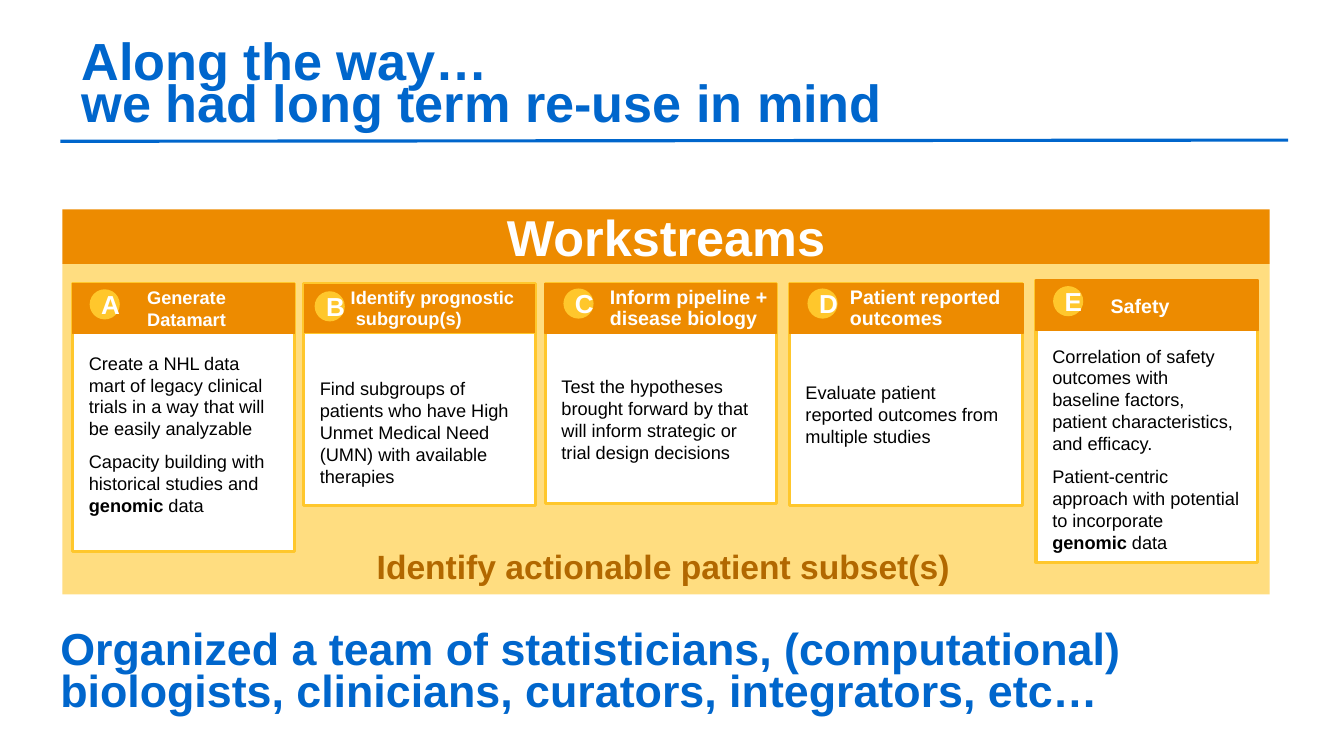
from dataclasses import dataclass

from lxml import etree
from pptx import Presentation
from pptx.dml.color import RGBColor
from pptx.enum import shapes, text
from pptx.oxml import ns
from pptx.util import Cm, Pt

COLORS = {
    "blue": "0066CC",
    "orange": "ED8B00",
    "yellow": "FFC72C",
    "cream": "FFDD80",
    "brown": "B26800",
    "white": "FFFFFF",
    "black": "000000",
}
INSETS = (0.18, 0.13, 0.18, 0.13)
HEADER_HEIGHT = 1.27
BADGE_SIZE = 0.76


@dataclass
class Card:
    letter: str
    heading: str
    box: tuple  # left, top, width, height in cm
    badge: tuple  # offset of the badge from the card's corner
    body_top: float  # offset of the body text from the card's top
    indent: float
    body: list  # paragraphs, each a list of spans; every second span is bold
    size: int = 14
    spacing: float = None
    hanging: float = 0
    header_line: str = "orange"


CARDS = [
    Card("A", "Generate Datamart", (1.83, 7.14, 5.59, 6.76), (0.43, 0.15), 1.6, 1.7,
         [["Create a NHL data mart of legacy clinical trials in a way that will "
           "be easily analyzable"],
          ["Capacity building with historical studies and ", "genomic", " data"]],
         size=13),
    Card("B", "Identify prognostic subgroup(s)", (7.65, 7.14, 5.84, 5.59), (0.28, 0.2),
         2.24, 1.14,
         [["Find subgroups of patients who have High Unmet Medical Need (UMN) "
           "with available therapies"]],
         size=13, spacing=14.7, hanging=0.13, header_line="yellow"),
    Card("C", "Inform pipeline + disease biology", (13.74, 7.14, 5.82, 5.56),
         (0.46, 0.13), 2.2, 1.45,
         [["Test the hypotheses brought forward by that will inform strategic or "
           "trial design decisions"]],
         spacing=14.7),
    Card("D", "Patient reported outcomes", (19.89, 7.14, 5.89, 5.59), (0.46, 0.13),
         2.34, 1.35,
         [["Evaluate patient reported outcomes from multiple studies"]],
         spacing=14.7),
    Card("E", "Safety", (26.11, 7.06, 5.59, 7.11), (0.43, 0.15), 1.5, 1.7,
         [["Correlation of safety outcomes with baseline factors, patient "
           "characteristics, and efficacy."],
          ["Patient-centric approach with potential to incorporate ", "genomic",
           " data"]]),
]


def rgb(name):
    return RGBColor.from_string(COLORS[name])


def add_block(page, box, fill, line=None, width=1, kind=shapes.MSO_SHAPE.RECTANGLE):
    block = page.shapes.add_shape(kind, *map(Cm, box))
    block.shadow.inherit = False
    block.fill.solid()
    block.fill.fore_color.rgb = rgb(fill)
    if line:
        block.line.color.rgb = rgb(line)
        block.line.width = Pt(width)
    else:
        block.line.fill.background()
    return block


def add_text_box(page, box):
    return page.shapes.add_textbox(*map(Cm, box))


def write(shape, paragraphs, size, color, bold=True, align=text.PP_ALIGN.LEFT,
          anchor=text.MSO_ANCHOR.MIDDLE, insets=INSETS, spacing=None, after=0):
    """Fill a shape with paragraphs, each a list of spans, and return them."""
    frame = shape.text_frame
    frame.word_wrap = True
    frame.vertical_anchor = anchor
    (frame.margin_left, frame.margin_top,
     frame.margin_right, frame.margin_bottom) = map(Cm, insets)
    for index, spans in enumerate(paragraphs):
        para = frame.paragraphs[0] if index == 0 else frame.add_paragraph()
        para.alignment = align
        para.space_after = Pt(after)
        if spacing:
            para.line_spacing = Pt(spacing)
        para.font.name = "Arial"
        para.font.size = Pt(size)
        para.font.color.rgb = rgb(color)
        para.font.bold = bold
        for position, words in enumerate(spans):
            span = para.add_run()
            span.text = words
            if position % 2:
                span.font.bold = True
    return frame.paragraphs


def add_statement(page, box, lines, size):
    write(add_text_box(page, box), [[line] for line in lines], size, "blue",
          anchor=text.MSO_ANCHOR.TOP, insets=(0, 0, 0, 0), spacing=30)


def add_rule(page, start, end):
    rule = page.shapes.add_connector(shapes.MSO_CONNECTOR.STRAIGHT,
                                     *map(Cm, start + end))
    rule.line.color.rgb = rgb("blue")
    rule.line.width = Pt(2.25)
    etree.SubElement(rule._element.spPr, ns.qn("a:effectLst"))


def add_panel(page, box):
    left, top, width, height = box
    title_height = label_height = 1.37
    add_block(page, (left, top + title_height, width, height - title_height), "cream")
    banner = add_block(page, (left, top, width, title_height), "orange")
    write(banner, [["Workstreams"]], 36, "white", align=text.PP_ALIGN.CENTER)
    label = add_text_box(
        page, (left - 0.07, top + height - label_height - 0.03, width, label_height))
    write(label, [["Identify actionable patient subset(s)"]], 24, "brown",
          align=text.PP_ALIGN.CENTER)


def add_card(page, card):
    left, top, width, height = card.box
    add_block(page, card.box, "white", "yellow", 2.25)

    # Header
    header = add_block(page, (left, top, width, HEADER_HEIGHT), "orange",
                       card.header_line)
    heading = write(header, [[card.heading]], card.size, "white",
                    spacing=card.spacing)[0]
    properties = heading._p.get_or_add_pPr()
    properties.set("marL", str(Cm(card.indent)))
    properties.set("indent", str(-Cm(card.hanging)))

    # Letter badge
    across, down = card.badge
    badge = add_block(page, (left + across, top + down, BADGE_SIZE, BADGE_SIZE),
                      "yellow", kind=shapes.MSO_SHAPE.OVAL)
    write(badge, [[card.letter]], 18.6, "white", align=text.PP_ALIGN.CENTER,
          insets=(0.18,) * 4)

    # Body
    body = add_text_box(page, (left + 0.23, top + card.body_top, width - 0.48,
                               height - card.body_top))
    write(body, card.body, 13, "black", bold=False, anchor=text.MSO_ANCHOR.TOP,
          after=8)


def main():
    deck = Presentation()
    deck.slide_width, deck.slide_height = Cm(33.87), Cm(19.05)
    page = deck.slides.add_slide(deck.slide_layouts[6])

    # Title and rule
    add_statement(page, (2.06, 1.24, 27.13, 1.55),
                  ["Along the way…", "we had long term re-use in mind"], 37.3)
    add_rule(page, (1.52, 3.56), (32.46, 3.53))

    # Workstreams
    add_panel(page, (1.57, 5.28, 30.43, 9.7))
    for card in CARDS:
        add_card(page, card)

    # Closing statement
    add_statement(page, (1.52, 15.93, 30.94, 2.51),
                  ["Organized a team of statisticians, (computational) biologists, "
                   "clinicians, curators, integrators, etc…"], 32)
    deck.save("out.pptx")


if __name__ == "__main__":
    main()
